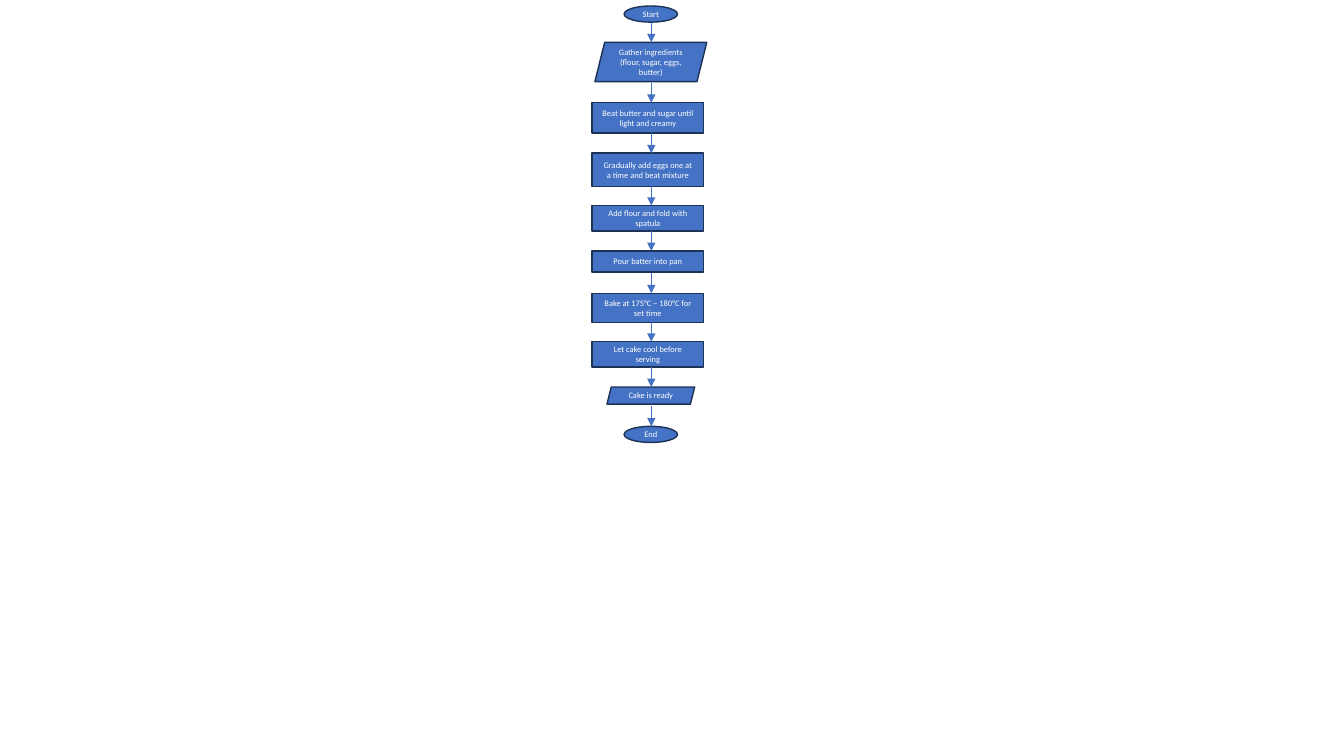
from lxml import etree
from pptx import Presentation
from pptx import util as u
from pptx.dml.color import RGBColor
from pptx.enum import shapes, text
from pptx.oxml.ns import qn

COLORS = {"fill": "4472C4", "outline": "1E3256", "label": "FFFFFF"}
UNIT = u.Inches(0.01)
ARROW_COLUMN = 646
ARROW_ROWS = 20

TERMINAL = (shapes.MSO_SHAPE.OVAL, 619, 53, 0)
INGREDIENTS = (shapes.MSO_SHAPE.PARALLELOGRAM, 590, 111, 5)
RESULT = (shapes.MSO_SHAPE.PARALLELOGRAM, 602, 87, 5)
PROCESS = (shapes.MSO_SHAPE.RECTANGLE, 587, 111, 9)

STEPS = [
    (TERMINAL, 6, 16, "Start"),
    (INGREDIENTS, 42, 39, "Gather ingredients (flour, sugar, eggs, butter)"),
    (PROCESS, 102, 30, "Beat butter and sugar until light and creamy"),
    (PROCESS, 152, 33, "Gradually add eggs one at a time and beat mixture"),
    (PROCESS, 204, 25, "Add flour and fold with spatula"),
    (PROCESS, 249, 21, "Pour batter into pan"),
    (PROCESS, 291, 29, "Bake at 175°C – 180°C for set time"),
    (PROCESS, 339, 25, "Let cake cool before serving"),
    (RESULT, 384, 17, "Cake is ready"),
    (TERMINAL, 423, 16, "End"),
]


def color(name):
    """Return the named palette colour."""
    return RGBColor.from_string(COLORS[name])


def add_step(slide, style, row, rows, label):
    """Draw one labelled step of the recipe."""
    preset, column, columns, padding = style
    step = slide.shapes.add_shape(
        preset, column * UNIT, row * UNIT, columns * UNIT, rows * UNIT)
    step.shadow.inherit = False
    step.fill.solid()
    step.fill.fore_color.rgb = color("fill")
    step.line.color.rgb = color("outline")
    step.line.width = u.Pt(1)
    frame = step.text_frame
    frame.word_wrap = True
    frame.vertical_anchor = text.MSO_ANCHOR.MIDDLE
    frame.margin_left = frame.margin_right = padding * UNIT
    frame.margin_top = frame.margin_bottom = 0
    caption = frame.paragraphs[0]
    caption.text = label
    caption.alignment = text.PP_ALIGN.CENTER
    caption.font.name = "Calibri"
    caption.font.size = u.Pt(6)
    caption.font.color.rgb = color("label")


def add_arrow(slide, row):
    """Draw the downward arrow that ends at the given row."""
    arrow = slide.shapes.add_connector(
        shapes.MSO_CONNECTOR.STRAIGHT,
        ARROW_COLUMN * UNIT, (row - ARROW_ROWS) * UNIT,
        ARROW_COLUMN * UNIT, row * UNIT)
    arrow.line.color.rgb = color("fill")
    arrow.line.width = u.Pt(0.5)
    etree.SubElement(arrow.line._get_or_add_ln(), qn("a:tailEnd"), type="triangle")
    etree.SubElement(arrow._element.spPr, qn("a:effectLst"))


def main():
    """Build the cake recipe flowchart."""
    deck = Presentation()
    deck.slide_width, deck.slide_height = u.Inches(13.33), u.Inches(7.5)
    slide = deck.slides.add_slide(deck.slide_layouts[6])
    for step in STEPS:
        add_step(slide, *step)
    for _, row, _, _ in STEPS[1:]:
        add_arrow(slide, row)
    deck.save("out.pptx")


if __name__ == "__main__":
    main()
